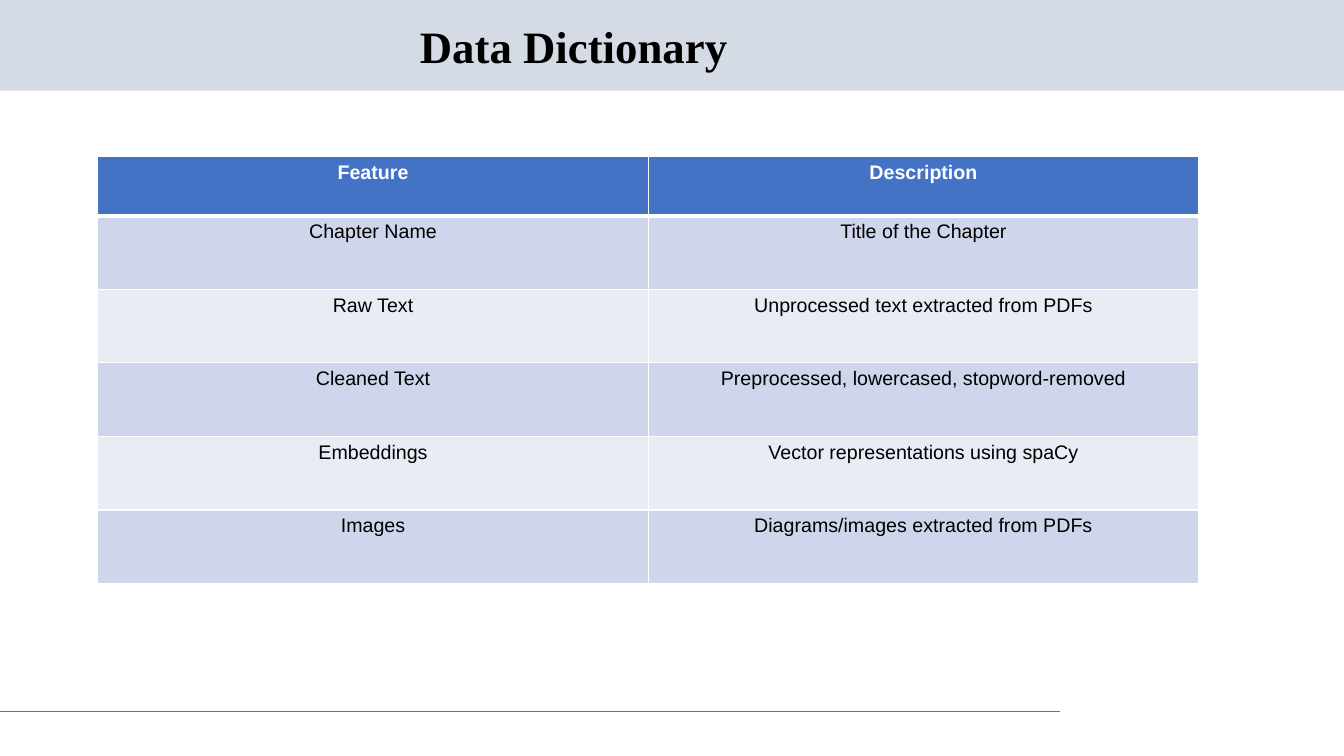
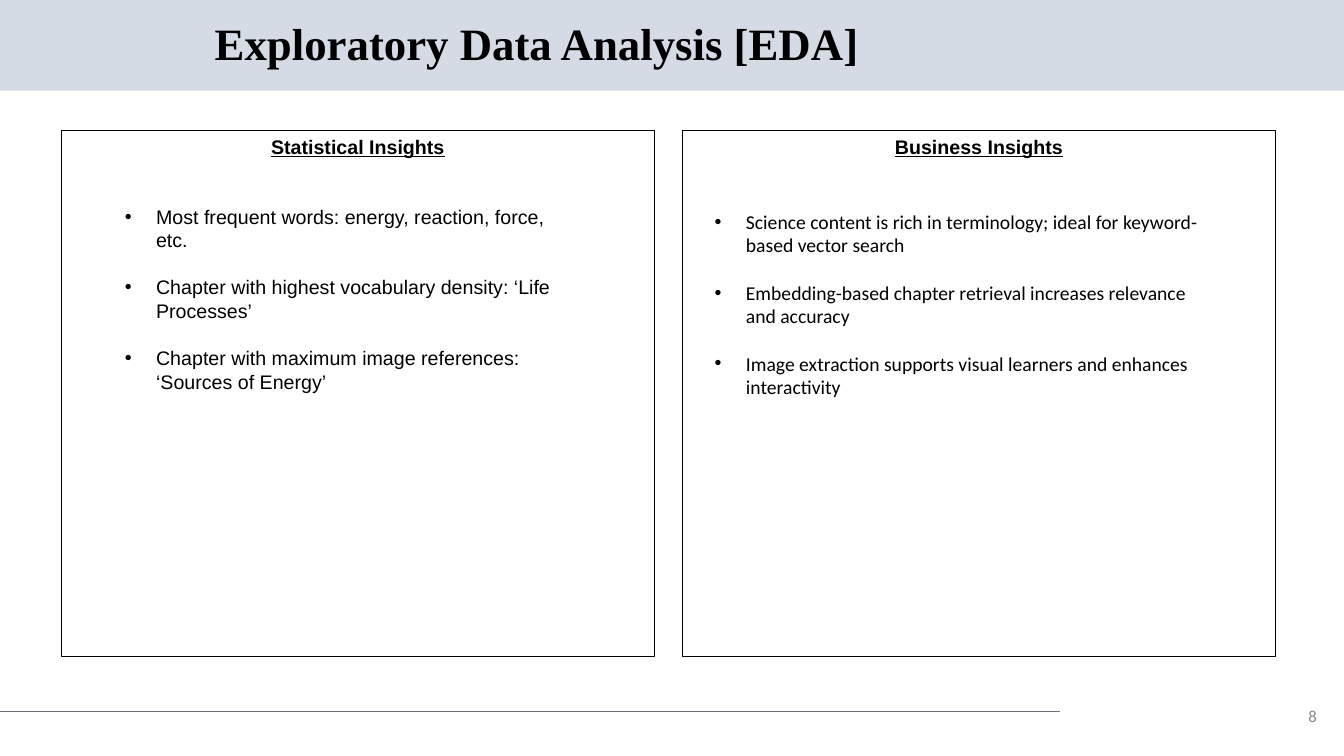
"""Build the data dictionary and exploratory data analysis slides."""
from dataclasses import dataclass

from lxml import etree
from pptx import Presentation
from pptx.dml.color import RGBColor
from pptx.enum.shapes import MSO_CONNECTOR, MSO_SHAPE
from pptx.enum.text import MSO_ANCHOR, PP_ALIGN
from pptx.oxml.ns import qn
from pptx.slide import Slide
from pptx.util import Inches, Pt

RECT = MSO_SHAPE.RECTANGLE
STRAIGHT = MSO_CONNECTOR.STRAIGHT
TOP, MIDDLE = MSO_ANCHOR.TOP, MSO_ANCHOR.MIDDLE
LEFT, CENTER, RIGHT = PP_ALIGN.LEFT, PP_ALIGN.CENTER, PP_ALIGN.RIGHT

COLORS = {
    "band": "D5DBE5",
    "rule": "6B6F78",
    "header": "4472C4",
    "odd_row": "CFD5EA",
    "even_row": "E9EBF5",
    "number": "888888",
    "black": "000000",
    "white": "FFFFFF",
}
TITLE = {"size": Pt(32), "name": "Times New Roman", "bold": True}
HEADING = {"size": Pt(14), "name": "Arial", "bold": True, "underline": True}
HEADER_CELL = {"size": Pt(14), "name": "Arial", "bold": True}
BODY = {"size": Pt(14), "name": "Arial", "bold": False}
BODY_ALT = {"size": Pt(14), "name": "Calibri", "bold": False}
NUMBER = {"size": Pt(12), "name": "Calibri"}

SLIDE_W, SLIDE_H = 13.33, 7.5
BAND_H = 0.9
RULE_Y, RULE_END = 7.06, 10.51
INDENT = 0.31
PANEL_TOP, PANEL_W, PANEL_H = 1.29, 5.88, 5.22

FEATURES = [
    ("Feature", "Description"),
    ("Chapter Name", "Title of the Chapter"),
    ("Raw Text", "Unprocessed text extracted from PDFs"),
    ("Cleaned Text", "Preprocessed, lowercased, stopword-removed"),
    ("Embeddings", "Vector representations using spaCy"),
    ("Images", "Diagrams/images extracted from PDFs"),
]


@dataclass(frozen=True)
class Box:
    """A rectangle in inches."""

    left: float
    top: float
    width: float
    height: float

    def emu(self) -> list[int]:
        """Return the four lengths for python-pptx."""
        return [Inches(v) for v in (self.left, self.top, self.width, self.height)]


@dataclass(frozen=True)
class Panel:
    """A framed column with a heading and bullets."""

    left: float
    heading: str
    text_box: Box
    inset: float
    style: dict
    bullets: tuple[str, ...]


PANELS = [
    Panel(0.61, "Statistical Insights", Box(1.14, 1.98, 4.44, 3.3), 0.05, BODY, (
        "Most frequent words: energy, reaction, force, etc.",
        "Chapter with highest vocabulary density: ‘Life Processes’",
        "Chapter with maximum image references: ‘Sources of Energy’",
    )),
    Panel(6.77, "Business Insights", Box(6.99, 1.98, 5.2, 2.55), 0.1, BODY_ALT, (
        "Science content is rich in terminology; ideal for keyword-based vector search",
        "Embedding-based chapter retrieval increases relevance and accuracy",
        "Image extraction supports visual learners and enhances interactivity",
    )),
]


def rgb(name: str) -> RGBColor:
    """Look up a named colour."""
    return RGBColor.from_string(COLORS[name])


def write(p, text: str, style: dict, color: str = "black", align=LEFT) -> None:
    """Put one formatted run into a paragraph."""
    p.alignment = align
    r = p.add_run()
    r.text = text
    for key, value in style.items():
        setattr(r.font, key, value)
    r.font.color.rgb = rgb(color)


def add_frame(s: Slide, box: Box, anchor=TOP, inset: float = 0.05):
    """Add a wrapping text box and return its text frame."""
    tf = s.shapes.add_textbox(*box.emu()).text_frame
    tf.word_wrap = True
    tf.vertical_anchor = anchor
    tf.margin_top = tf.margin_bottom = Inches(inset)
    return tf


def add_rect(s: Slide, box: Box, fill: str = "", line: str = "") -> None:
    """Add a rectangle with an optional fill and outline."""
    sp = s.shapes.add_shape(RECT, *box.emu())
    sp.shadow.inherit = False
    if fill:
        sp.fill.solid()
        sp.fill.fore_color.rgb = rgb(fill)
    else:
        sp.fill.background()
    if line:
        sp.line.color.rgb = rgb(line)
        sp.line.width = Pt(0.75)
    else:
        sp.line.fill.background()


def add_base(prs, title: str, title_box: Box) -> Slide:
    """Add a slide with the shared band, rule and title."""
    s = prs.slides.add_slide(prs.slide_layouts[6])
    add_rect(s, Box(0, 0, SLIDE_W, BAND_H), fill="band")
    rule = s.shapes.add_connector(
        STRAIGHT, 0, Inches(RULE_Y), Inches(RULE_END), Inches(RULE_Y))
    rule.line.color.rgb = rgb("rule")
    rule.line.width = Pt(0.75)
    etree.SubElement(rule._element.spPr, qn("a:effectLst"))
    p = add_frame(s, title_box, MIDDLE).paragraphs[0]
    p.line_spacing = 0.9
    write(p, title, TITLE, align=CENTER)
    return s


def set_borders(cell, top: float, bottom: float) -> None:
    """Draw white cell borders with the given top and bottom widths."""
    tc_pr = cell._tc.get_or_add_tcPr()
    for side, width in (("L", 1), ("R", 1), ("T", top), ("B", bottom)):
        ln = etree.SubElement(tc_pr, qn(f"a:ln{side}"), w=str(Pt(width)))
        fill = etree.SubElement(ln, qn("a:solidFill"))
        etree.SubElement(fill, qn("a:srgbClr"), val=COLORS["white"])


def add_features(s: Slide, box: Box, header_h: float, row_h: float) -> None:
    """Add the feature table."""
    table = s.shapes.add_table(len(FEATURES), 2, *box.emu()).table
    for col in table.columns:
        col.width = Inches(box.width / 2)
    for i, texts in enumerate(FEATURES):
        table.rows[i].height = Inches(row_h if i else header_h)
        fill = "header" if i == 0 else "odd_row" if i % 2 else "even_row"
        style, color = (BODY, "black") if i else (HEADER_CELL, "white")
        for j, text in enumerate(texts):
            cell = table.cell(i, j)
            set_borders(cell, 3 if i == 1 else 1, 3 if i == 0 else 1)
            cell.fill.solid()
            cell.fill.fore_color.rgb = rgb(fill)
            write(cell.text_frame.paragraphs[0], text, style, color, CENTER)


def add_bullet(p, text: str, style: dict) -> None:
    """Write a hanging bullet paragraph."""
    p_pr = p._p.get_or_add_pPr()
    p_pr.set("marL", str(Inches(INDENT)))
    p_pr.set("indent", str(-Inches(INDENT)))
    color = etree.SubElement(p_pr, qn("a:buClr"))
    etree.SubElement(color, qn("a:srgbClr"), val=COLORS["black"])
    etree.SubElement(p_pr, qn("a:buFont"), typeface="Arial")
    etree.SubElement(p_pr, qn("a:buChar"), char="•")
    write(p, text, style)


def add_panel(s: Slide, panel: Panel) -> None:
    """Add a framed panel with its heading and bullets."""
    add_rect(s, Box(panel.left, PANEL_TOP, PANEL_W, PANEL_H), line="black")
    heading = add_frame(s, Box(panel.left, PANEL_TOP, PANEL_W, 0.34))
    write(heading.paragraphs[0], panel.heading, HEADING, align=CENTER)
    tf = add_frame(s, panel.text_box, inset=panel.inset)
    for i, text in enumerate(panel.bullets):
        p = tf.add_paragraph() if i else tf.paragraphs[0]
        if i:
            p.space_before = Pt(17)
        add_bullet(p, text, panel.style)


def main() -> None:
    """Build and save the presentation."""
    prs = Presentation()
    prs.slide_width, prs.slide_height = Inches(SLIDE_W), Inches(SLIDE_H)

    s = add_base(prs, "Data Dictionary", Box(0, 0.19, 11.38, 0.59))
    add_features(s, Box(0.97, 1.55, 10.92, 4.24), 0.59, 0.73)

    s = add_base(prs, "Exploratory Data Analysis [EDA]", Box(0.27, 0.16, 10.11, 0.59))
    for panel in PANELS:
        add_panel(s, panel)
    number = add_frame(s, Box(12.73, 6.94, 0.43, 0.32), MIDDLE)
    write(number.paragraphs[0], "8", NUMBER, "number", RIGHT)

    prs.save("out.pptx")


if __name__ == "__main__":
    main()
